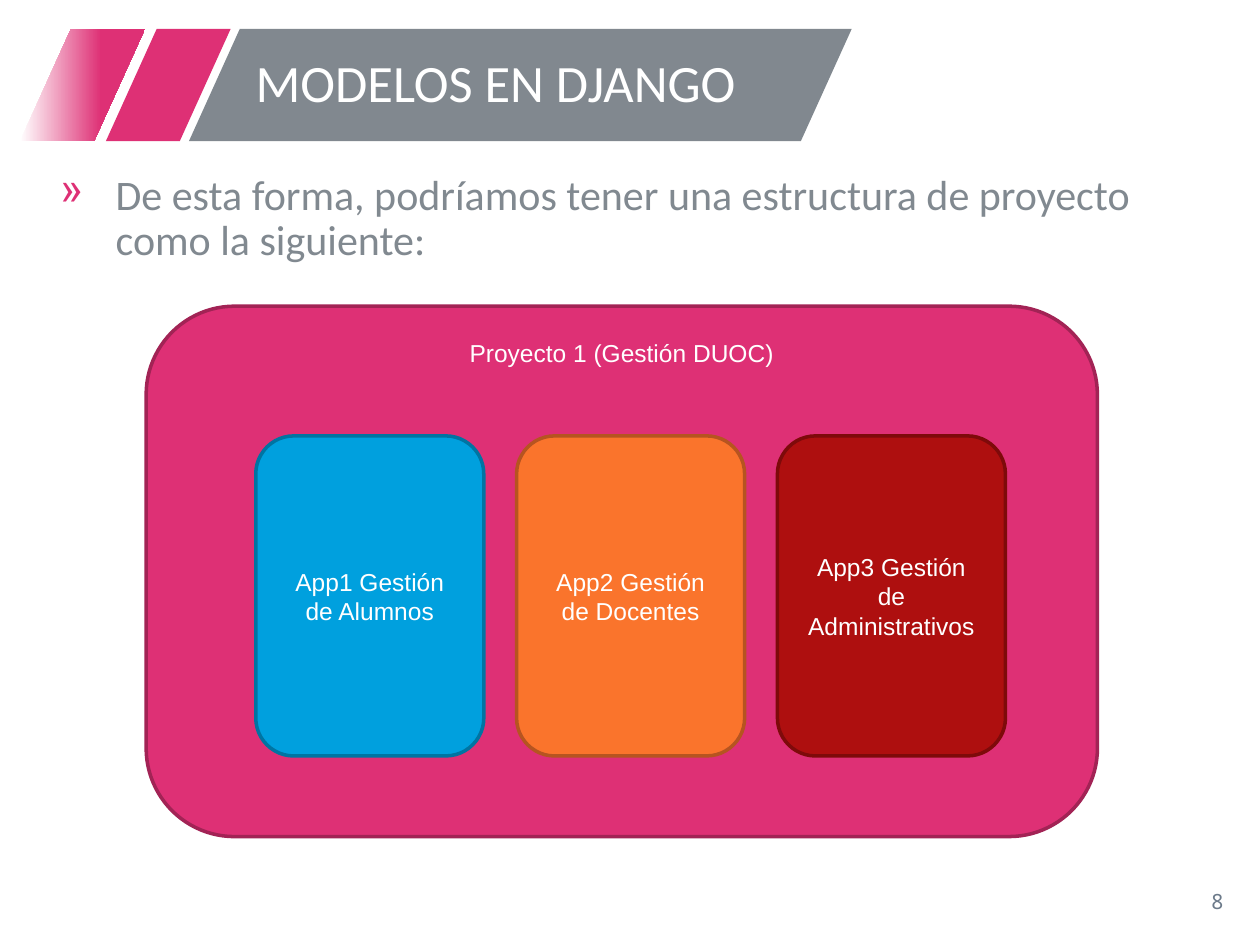
"""Build the slide on the structure of a Django project and its apps."""
from lxml.etree import SubElement
from pptx import Presentation
from pptx.dml.color import RGBColor
from pptx.enum.shapes import MSO_SHAPE as Shape
from pptx.enum.text import MSO_ANCHOR as Anchor, PP_ALIGN as Align
from pptx.oxml.ns import qn
from pptx.util import Inches, Pt

WHITE = RGBColor(0xFF, 0xFF, 0xFF)
PINK = RGBColor(0xDE, 0x30, 0x75)
DARK_PINK = RGBColor(0xA2, 0x23, 0x55)
BANNER_GRAY = RGBColor(0x81, 0x88, 0x8F)
BODY_GRAY = RGBColor(0x81, 0x89, 0x90)
NUMBER_GRAY = RGBColor(0x6C, 0x7A, 0x8A)
BLUE = RGBColor(0x00, 0xA0, 0xDE)
DARK_BLUE = RGBColor(0x00, 0x74, 0xA2)
ORANGE = RGBColor(0xFA, 0x74, 0x2C)
DARK_ORANGE = RGBColor(0xB6, 0x54, 0x20)
RED = RGBColor(0xAE, 0x0F, 0x0F)
DARK_RED = RGBColor(0x7E, 0x0A, 0x0A)

BANNER_TOP, BANNER_HEIGHT = 0.23, 0.89
APP_LEFT, APP_STEP = 2.03, 2.07
APPS = [
    ("App1 Gestión de Alumnos", BLUE, DARK_BLUE),
    ("App2 Gestión de Docentes", ORANGE, DARK_ORANGE),
    ("App3 Gestión de Administrativos", RED, DARK_RED),
]


def write(shape, text, font, size, color, align=Align.LEFT, anchor=Anchor.MIDDLE):
    """Put one styled paragraph in a shape and return it."""
    frame = shape.text_frame
    frame.word_wrap = True
    frame.vertical_anchor = anchor
    para = frame.paragraphs[0]
    para.text = text
    para.alignment = align
    para.font.name = font
    para.font.size = Pt(size)
    para.font.color.rgb = color
    return para


def add_text(slide, area, *style, **layout):
    """Add a text box and return its paragraph."""
    box = slide.shapes.add_textbox(*map(Inches, area))
    return write(box, *style, **layout)


def add_band(slide, left, width, color, fades=False):
    """Add a slanted banner band, optionally fading in from white."""
    area = (left, BANNER_TOP, width, BANNER_HEIGHT)
    band = slide.shapes.add_shape(Shape.PARALLELOGRAM, *map(Inches, area))
    band.adjustments[0] = 0.453
    band.shadow.inherit = False
    band.line.fill.background()
    if fades:
        band.fill.gradient()
        band.fill.gradient_angle = 0
        start, end = band.fill.gradient_stops
        start.color.rgb, start.position = WHITE, 0
        end.color.rgb, end.position = color, 0.65
    else:
        band.fill.solid()
        band.fill.fore_color.rgb = color


def add_card(slide, area, text, fill, outline, anchor=Anchor.MIDDLE):
    """Add a rounded, outlined card with centred text."""
    card = slide.shapes.add_shape(Shape.ROUNDED_RECTANGLE, *map(Inches, area))
    card.shadow.inherit = False
    card.fill.solid()
    card.fill.fore_color.rgb = fill
    card.line.color.rgb = outline
    card.line.width = Pt(2)
    write(card, text, "Arial", 14, WHITE, Align.CENTER, anchor)


def add_bulleted_text(slide, area, text):
    """Add a body paragraph with a coloured bullet and hanging indent."""
    box = slide.shapes.add_textbox(*map(Inches, area))
    props = box.text_frame.paragraphs[0]._p.get_or_add_pPr()
    props.set("marL", str(Inches(0.5)))
    props.set("indent", str(Inches(-0.44)))
    bullet_color = SubElement(props, qn("a:buClr"))
    SubElement(bullet_color, qn("a:srgbClr"), val=str(PINK))
    SubElement(props, qn("a:buChar"), char="»")
    para = write(box, text, "Calibri", 24, BODY_GRAY, anchor=Anchor.TOP)
    para.line_spacing = 0.9


def main():
    """Build and save the deck."""
    deck = Presentation()
    deck.slide_width, deck.slide_height = Inches(10), Inches(7.5)
    slide = deck.slides.add_slide(deck.slide_layouts[6])

    add_band(slide, 0.84, 0.99, PINK)
    add_band(slide, 0.16, 0.99, PINK, fades=True)
    add_band(slide, 1.5, 5.26, BANNER_GRAY)
    title = add_text(slide, (1.93, BANNER_TOP, 4.69, BANNER_HEIGHT),
                     "MODELOS EN DJANGO", "Calibri", 30, WHITE)
    title.line_spacing = 0.9
    add_bulleted_text(
        slide, (0.32, 1.33, 9.36, 0.9),
        "De esta forma, podríamos tener una estructura de proyecto como la siguiente:")

    add_card(slide, (1.16, 2.43, 7.55, 4.21), "Proyecto 1 (Gestión DUOC)",
             PINK, DARK_PINK, Anchor.TOP)
    for index, (text, fill, outline) in enumerate(APPS):
        area = (APP_LEFT + index * APP_STEP, 3.46, 1.81, 2.54)
        add_card(slide, area, text, fill, outline)
    add_text(slide, (7.56, 6.95, 2.25, 0.4), "8", "Noto Sans Mono", 12,
             NUMBER_GRAY, align=Align.RIGHT)
    deck.save("out.pptx")


if __name__ == "__main__":
    main()
